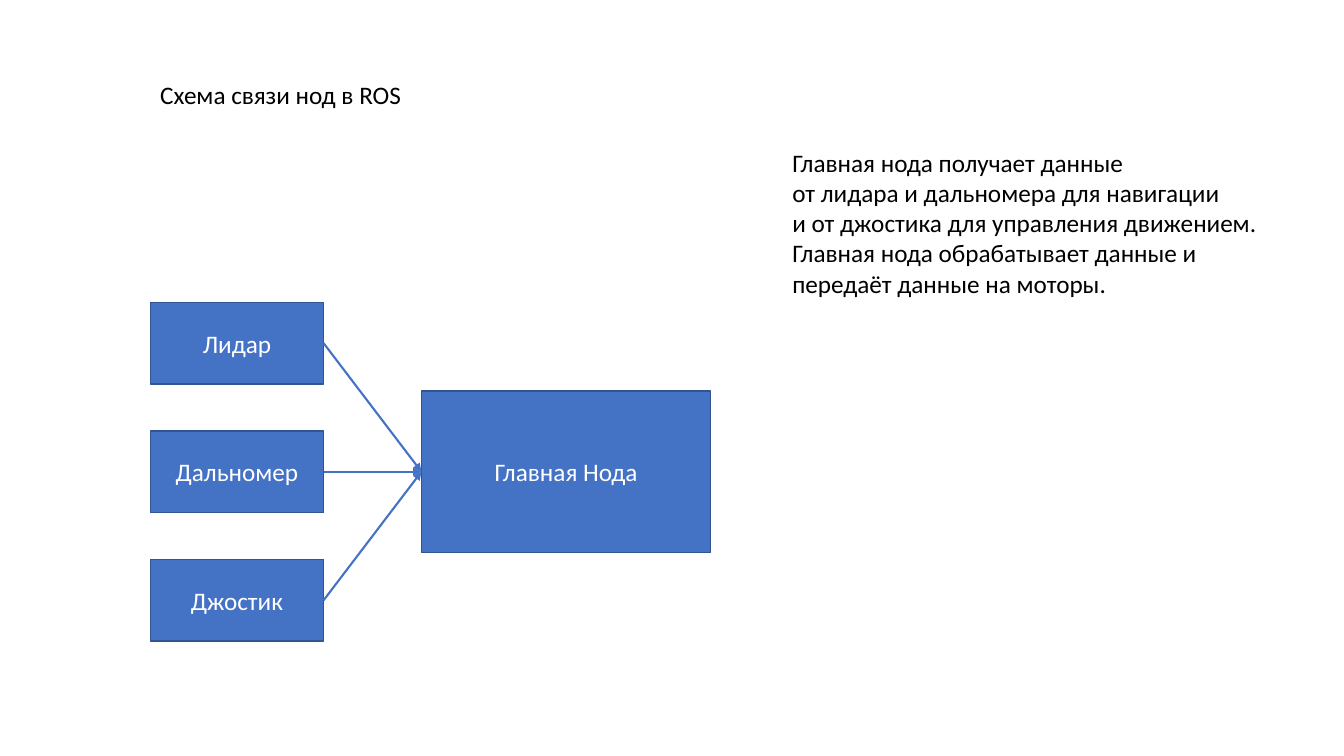
from pptx import Presentation
from pptx.dml.color import RGBColor
from pptx.enum.shapes import MSO_CONNECTOR, MSO_SHAPE
from pptx.enum.text import MSO_ANCHOR, PP_ALIGN
from pptx.oxml.ns import qn
from pptx.util import Inches, Pt
from lxml import etree

RECT = MSO_SHAPE.RECTANGLE
STRAIGHT = MSO_CONNECTOR.STRAIGHT
MIDDLE = MSO_ANCHOR.MIDDLE
CENTER, LEFT = PP_ALIGN.CENTER, PP_ALIGN.LEFT
LEFT_SITE, RIGHT_SITE = 1, 3

THEME = {
    "font": "Calibri",
    "size": Pt(18),
    "fill": RGBColor(0x44, 0x72, 0xC4),
    "border": RGBColor(0x32, 0x54, 0x91),
    "light": RGBColor(0xFF, 0xFF, 0xFF),
    "dark": RGBColor(0, 0, 0),
    "border_width": Pt(1),
    "arrow_width": Pt(1.5),
}

SOURCES = ["Лидар", "Дальномер", "Джостик"]
SOURCE_LEFT, SOURCE_TOP = 1.49, 3
SOURCE_W, SOURCE_H, ROW_STEP = 1.72, 0.81, 1.275
MAIN_LEFT, MAIN_W, MAIN_H = 4.18, 2.87, 1.6
MAIN_TOP = SOURCE_TOP + ROW_STEP + SOURCE_H / 2 - MAIN_H / 2

TEXTS = [
    (SOURCE_LEFT, 0.74, 2.62, 0.4, "Схема связи нод в ROS"),
    (7.76, 1.41, 4.91, 1.62,
     "Главная нода получает данные\n"
     "от лидара и дальномера для навигации\n"
     "и от джостика для управления движением.\n"
     "Главная нода обрабатывает данные и\n"
     "передаёт данные на моторы."),
]


def write(s, text, color, align):
    tf = s.text_frame
    tf.text = text
    for p in tf.paragraphs:
        p.alignment = align
        for r in p.runs:
            r.font.name = THEME["font"]
            r.font.size = THEME["size"]
            r.font.color.rgb = color


def add_node(slide, x, y, w, h, text):
    s = slide.shapes.add_shape(RECT, Inches(x), Inches(y), Inches(w), Inches(h))
    s.shadow.inherit = False
    s.fill.solid()
    s.fill.fore_color.rgb = THEME["fill"]
    s.line.color.rgb = THEME["border"]
    s.line.width = THEME["border_width"]
    s.text_frame.vertical_anchor = MIDDLE
    write(s, text, THEME["light"], CENTER)
    return s


prs = Presentation()
prs.slide_width, prs.slide_height = Inches(13.33), Inches(7.5)
slide = prs.slides.add_slide(prs.slide_layouts[6])

main_node = add_node(slide, MAIN_LEFT, MAIN_TOP, MAIN_W, MAIN_H, "Главная Нода")

source_nodes = [
    add_node(slide, SOURCE_LEFT, SOURCE_TOP + row * ROW_STEP, SOURCE_W, SOURCE_H, name)
    for row, name in enumerate(SOURCES)
]

for node in source_nodes:
    arrow = slide.shapes.add_connector(STRAIGHT, 0, 0, 0, 0)
    arrow.begin_connect(node, RIGHT_SITE)
    arrow.end_connect(main_node, LEFT_SITE)
    arrow.line.color.rgb = THEME["fill"]
    arrow.line.width = THEME["arrow_width"]
    etree.SubElement(arrow.line._get_or_add_ln(), qn("a:tailEnd"), type="triangle")
    etree.SubElement(arrow._element.spPr, qn("a:effectLst"))

for x, y, w, h, text in TEXTS:
    s = slide.shapes.add_textbox(Inches(x), Inches(y), Inches(w), Inches(h))
    s.text_frame.word_wrap = False
    write(s, text, THEME["dark"], LEFT)

prs.save("out.pptx")
